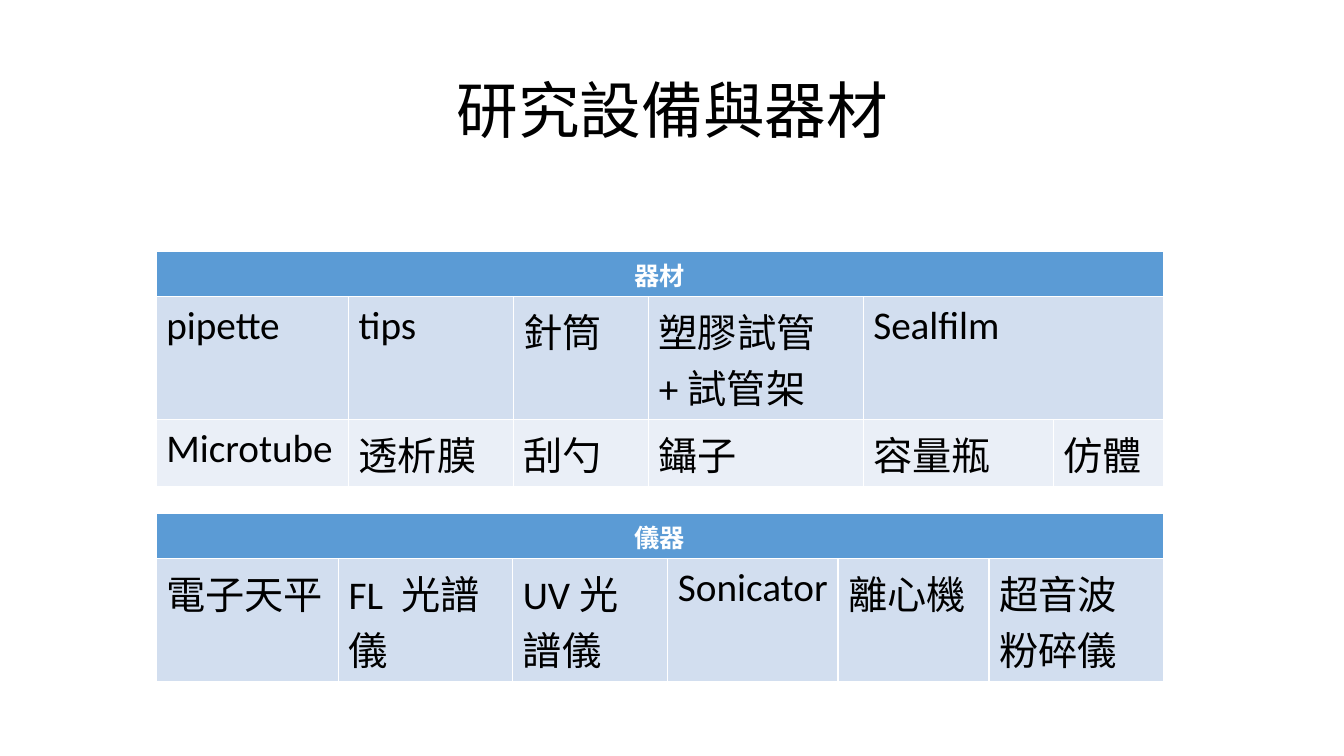
from lxml import etree
from pptx import Presentation
from pptx import util as u
from pptx.dml.color import RGBColor
from pptx.enum import text
from pptx.oxml import ns

WIDE, HIGH = u.Inches(13.33), u.Inches(7.5)
BLACK = RGBColor(0x00, 0x00, 0x00)
WHITE = RGBColor(0xFF, 0xFF, 0xFF)
BLUE = RGBColor(0x5B, 0x9B, 0xD5)
BANDS = RGBColor(0xD2, 0xDE, 0xEF), RGBColor(0xEA, 0xEF, 0xF7)
FONT = "Calibri"
LEFT, SPAN = 11.63, 74.93  # percent of the slide's width
HEAD, ONE, TWO = 6.05, 8.87, 16.27  # percent of its height: head, one line, two lines

TOOLS = [
    ["pipette", "tips", "針筒", "塑膠試管\n+試管架", "Sealfilm", None],
    ["Microtube", "透析膜", "刮勺", "鑷子", "容量瓶", "仿體"],
]
DEVICES = [
    ["電子天平", "FL 光譜儀", "UV光譜儀", "Sonicator", "離心機", "超音波粉碎儀"],
]


def across(share):
    return round(WIDE * share / 100)


def down(share):
    return round(HIGH * share / 100)


def write(frame, words, size, color, align, bold=False):
    """Fill a text frame, one paragraph per line of words."""
    for i, line in enumerate(words.split("\n")):
        para = frame.add_paragraph() if i else frame.paragraphs[0]
        para.alignment = align
        run = para.add_run()
        run.text = line
        font = run.font
        font.name, font.size, font.bold = FONT, u.Pt(size), bold
        font.color.rgb = color


def add_title(slide, words):
    box = slide.shapes.add_textbox(across(6.9), down(5.33), across(86.27), down(19.33))
    frame = box.text_frame
    frame.word_wrap = True
    frame.vertical_anchor = text.MSO_ANCHOR.MIDDLE
    write(frame, words, 44, BLACK, text.PP_ALIGN.CENTER)
    frame.paragraphs[0].line_spacing = 0.9


def paint(cell, color):
    """Give a cell thin white borders and a fill."""
    props = cell._tc.get_or_add_tcPr()
    for side in "LRTB":
        line = etree.SubElement(props, ns.qn("a:ln" + side), w=str(u.Pt(1)))
        fill = etree.SubElement(line, ns.qn("a:solidFill"))
        etree.SubElement(fill, ns.qn("a:srgbClr"), val=str(WHITE))
    cell.fill.solid()
    cell.fill.fore_color.rgb = color


def add_grid(slide, top, head, rows, cols, heights):
    """Add a table; cols are percent of its width, None joins the cell on its left."""
    tall = [HEAD] + heights
    width = across(SPAN)
    table = slide.shapes.add_table(
        len(tall), len(cols), across(LEFT), down(top), width, down(sum(tall))
    ).table
    for col, share in zip(table.columns, cols):
        col.width = round(width * share / 100)
    for row, share in zip(table.rows, tall):
        row.height = down(share)

    for c in range(len(cols)):
        paint(table.cell(0, c), BLUE)
    title = table.cell(0, 0)
    title.merge(table.cell(0, len(cols) - 1))
    write(title.text_frame, head, 18, WHITE, text.PP_ALIGN.CENTER, True)

    for r, row in enumerate(rows, 1):
        for c, words in enumerate(row):
            cell = table.cell(r, c)
            paint(cell, BANDS[(r - 1) % 2])
            if words is None:
                table.cell(r, c - 1).merge(cell)
            else:
                write(cell.text_frame, words, 28, BLACK, text.PP_ALIGN.LEFT)


def main():
    deck = Presentation()
    deck.slide_width, deck.slide_height = WIDE, HIGH
    slide = deck.slides.add_slide(deck.slide_layouts[6])
    add_title(slide, "研究設備與器材")
    add_grid(slide, 33.2, "器材", TOOLS,
             [19.1, 16.4, 13.4, 21.3, 18.9, 10.9], [TWO, ONE])
    add_grid(slide, 67.87, "儀器", DEVICES,
             [18.1, 17.3, 15.4, 16.9, 15, 17.3], [TWO])
    deck.save("out.pptx")


if __name__ == "__main__":
    main()
